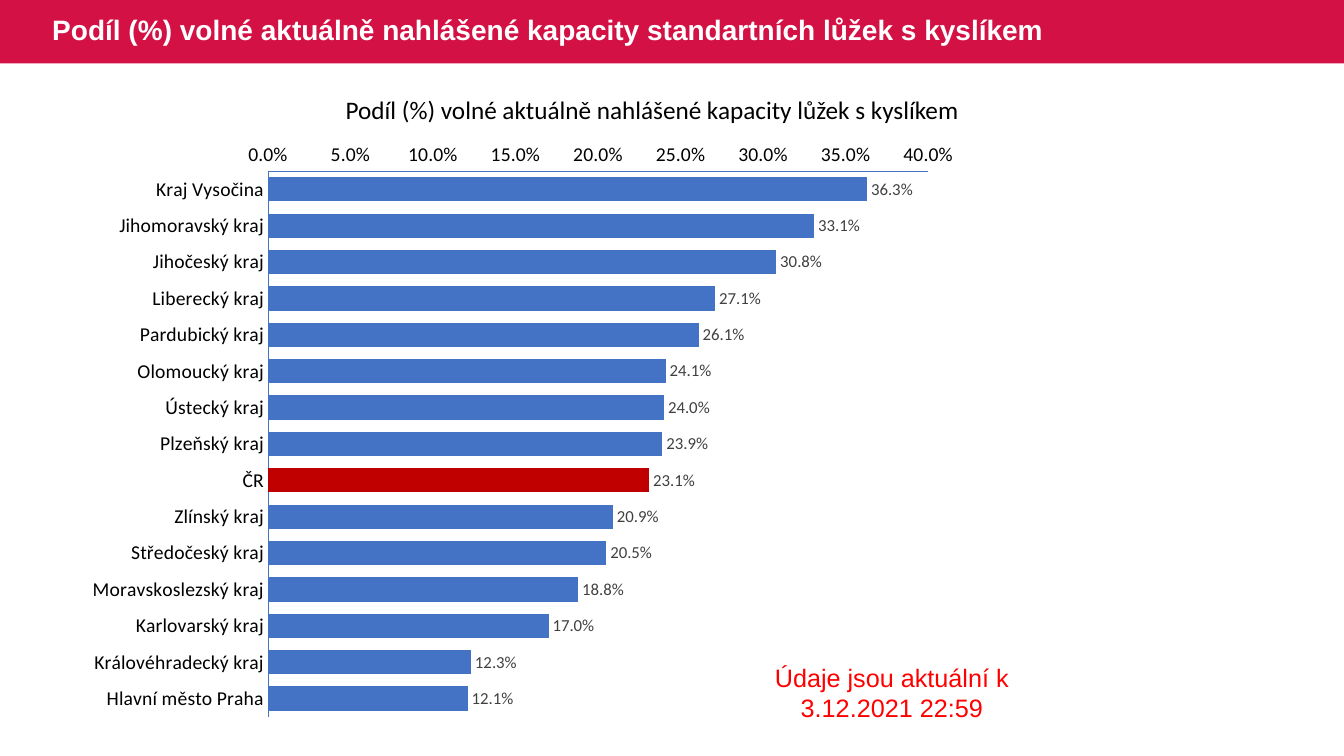
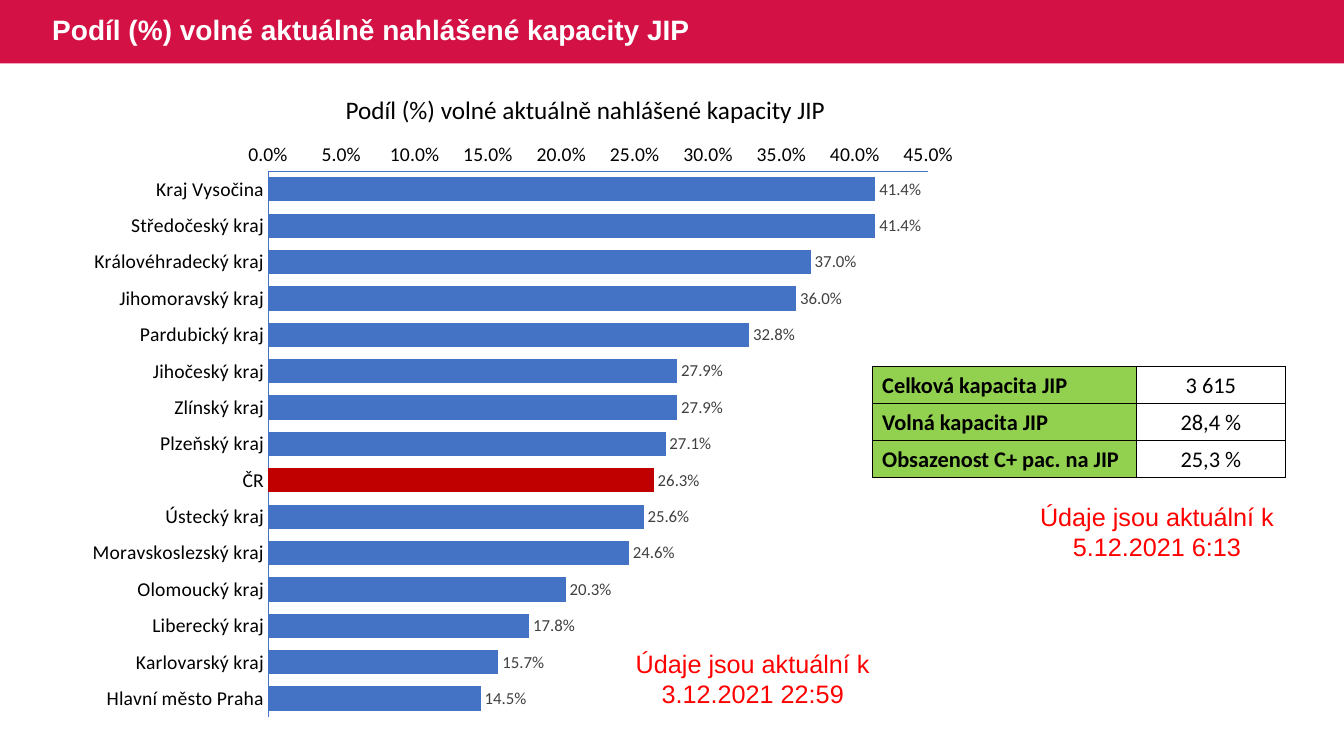
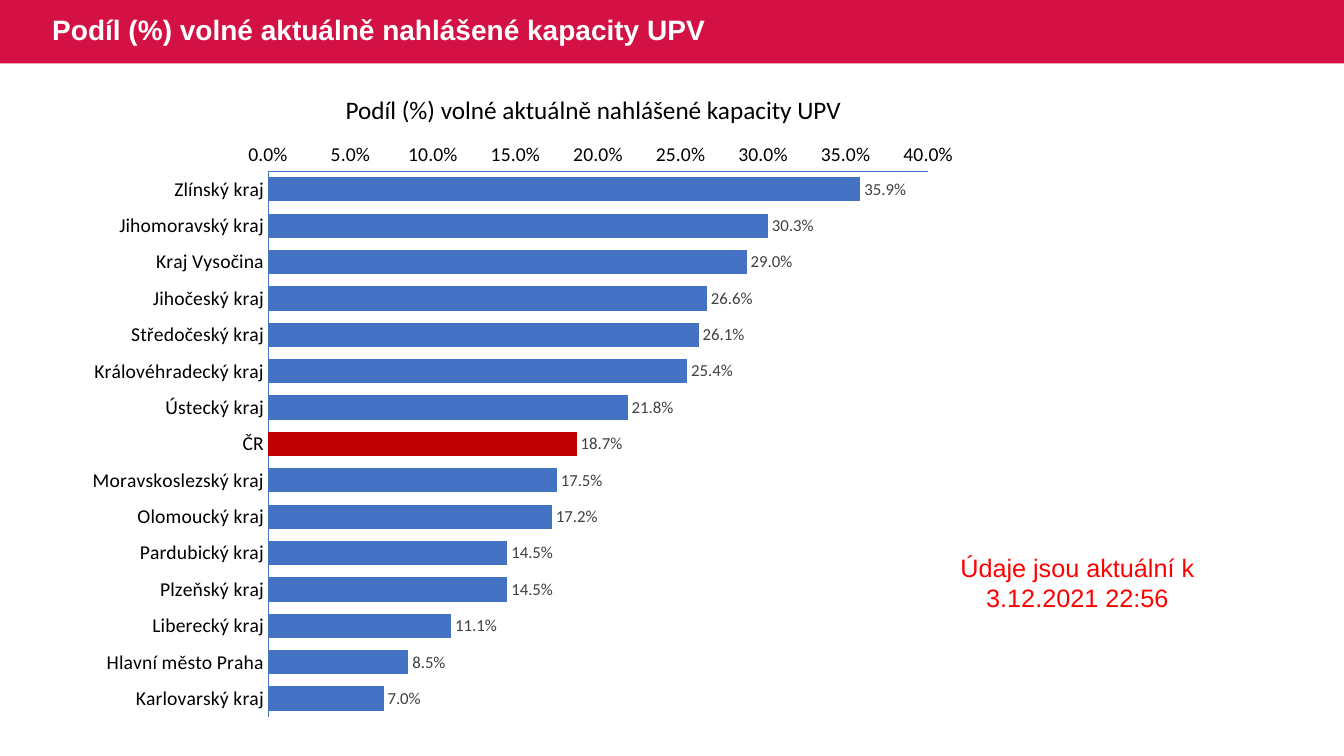
from dataclasses import dataclass
from typing import Any

from lxml.etree import SubElement
from pptx import Presentation
from pptx.chart.data import CategoryChartData
from pptx.dml.color import RGBColor
from pptx.enum.chart import XL_CHART_TYPE, XL_LABEL_POSITION, XL_TICK_MARK
from pptx.enum.shapes import MSO_SHAPE
from pptx.enum.text import MSO_ANCHOR, MSO_AUTO_SIZE, PP_ALIGN
from pptx.oxml.ns import qn
from pptx.util import Inches, Pt

# Shared look
COLORS = {
    "band": "D31145",
    "bar": "4472C4",
    "country": "C00000",
    "label": "404040",
    "notice": "FF0000",
    "table": "92D050",
    "text": "000000",
    "title": "FFFFFF",
}
FONTS: dict[str, dict[str, Any]] = {
    "title": {"name": "Arial", "size": Pt(20), "bold": True},
    "heading": {"name": "Calibri", "size": Pt(18)},
    "notice": {"name": "Arial", "size": Pt(18)},
    "chart": {"name": "Calibri", "size": Pt(10)},
    "axis": {"name": "Calibri", "size": Pt(14), "bold": False},
    "label": {"name": "Calibri", "size": Pt(12)},
    "table key": {"name": "Calibri", "size": Pt(16), "bold": True},
    "table value": {"name": "Calibri", "size": Pt(16), "bold": False},
}
COUNTRY = "ČR"
PERCENT = "0.0%"


@dataclass(frozen=True)
class Notice:
    left: float
    top: float
    moment: str


@dataclass(frozen=True)
class Capacity:
    title: str
    heading: str
    heading_width: float
    axis_maximum: float
    shares: dict[str, float]
    notices: tuple[Notice, ...]
    summary: tuple[tuple[str, str], ...] = ()


# Content
CAPACITIES = (
    Capacity(
        "Podíl (%) volné aktuálně nahlášené kapacity standartních lůžek s kyslíkem",
        "Podíl (%) volné aktuálně nahlášené kapacity lůžek s kyslíkem",
        6.35,
        0.40,
        {
            "Kraj Vysočina": 0.363,
            "Jihomoravský kraj": 0.331,
            "Jihočeský kraj": 0.308,
            "Liberecký kraj": 0.271,
            "Pardubický kraj": 0.261,
            "Olomoucký kraj": 0.241,
            "Ústecký kraj": 0.240,
            "Plzeňský kraj": 0.239,
            COUNTRY: 0.231,
            "Zlínský kraj": 0.209,
            "Středočeský kraj": 0.205,
            "Moravskoslezský kraj": 0.188,
            "Karlovarský kraj": 0.170,
            "Královéhradecký kraj": 0.123,
            "Hlavní město Praha": 0.121,
        },
        (Notice(7.57, 6.52, "3.12.2021 22:59"),),
    ),
    Capacity(
        "Podíl (%) volné aktuálně nahlášené kapacity JIP",
        "Podíl (%) volné aktuálně nahlášené kapacity JIP",
        5.13,
        0.45,
        {
            "Kraj Vysočina": 0.414,
            "Středočeský kraj": 0.414,
            "Královéhradecký kraj": 0.370,
            "Jihomoravský kraj": 0.360,
            "Pardubický kraj": 0.328,
            "Jihočeský kraj": 0.279,
            "Zlínský kraj": 0.279,
            "Plzeňský kraj": 0.271,
            COUNTRY: 0.263,
            "Ústecký kraj": 0.256,
            "Moravskoslezský kraj": 0.246,
            "Olomoucký kraj": 0.203,
            "Liberecký kraj": 0.178,
            "Karlovarský kraj": 0.157,
            "Hlavní město Praha": 0.145,
        },
        (Notice(6.19, 6.38, "3.12.2021 22:59"), Notice(10.2, 4.92, "5.12.2021 6:13")),
        (
            ("Celková kapacita JIP", "3 615"),
            ("Volná kapacita JIP", "28,4 %"),
            ("Obsazenost C+ pac. na JIP", "25,3 %"),
        ),
    ),
    Capacity(
        "Podíl (%) volné aktuálně nahlášené kapacity UPV",
        "Podíl (%) volné aktuálně nahlášené kapacity UPV",
        5.17,
        0.40,
        {
            "Zlínský kraj": 0.359,
            "Jihomoravský kraj": 0.303,
            "Kraj Vysočina": 0.290,
            "Jihočeský kraj": 0.266,
            "Středočeský kraj": 0.261,
            "Královéhradecký kraj": 0.254,
            "Ústecký kraj": 0.218,
            COUNTRY: 0.187,
            "Moravskoslezský kraj": 0.175,
            "Olomoucký kraj": 0.172,
            "Pardubický kraj": 0.145,
            "Plzeňský kraj": 0.145,
            "Liberecký kraj": 0.111,
            "Hlavní město Praha": 0.085,
            "Karlovarský kraj": 0.070,
        },
        (Notice(9.41, 5.43, "3.12.2021 22:56"),),
    ),
)


# Formatting helpers
def apply(target: Any, values: dict[str, Any]) -> None:
    for name, value in values.items():
        setattr(target, name, value)


def rgb(color: str) -> RGBColor:
    return RGBColor.from_string(COLORS[color])


def style_font(font: Any, style: str, color: str) -> None:
    apply(font, FONTS[style])
    font.color.rgb = rgb(color)


def paint(fill: Any, color: str) -> None:
    fill.solid()
    fill.fore_color.rgb = rgb(color)


def write(para: Any, text: str, style: str, color: str, **values: Any) -> None:
    apply(para, values)
    span = para.add_run()
    span.text = text
    style_font(span.font, style, color)


def add_text(page: Any, place: tuple[float, ...], text: str, style: str, color: str,
             frame: dict[str, Any], **values: Any) -> None:
    box = page.shapes.add_textbox(*map(Inches, place))
    apply(box.text_frame, frame)
    write(box.text_frame.paragraphs[0], text, style, color, **values)


# Title band
def add_title(page: Any, title: str) -> None:
    band = page.shapes.add_shape(MSO_SHAPE.RECTANGLE, 0, 0, Inches(13.33), Inches(0.63))
    band.shadow.inherit = False
    paint(band.fill, "band")
    band.line.fill.background()
    frame = {"word_wrap": True, "vertical_anchor": MSO_ANCHOR.MIDDLE}
    add_text(page, (0.42, 0, 11.56, 0.63), title, "title", "title", frame, line_spacing=0.9)


# Bar chart of regions
def add_bars(page: Any, capacity: Capacity) -> None:
    data = CategoryChartData(number_format=PERCENT)
    data.categories = list(capacity.shares)
    data.add_series("Series 1", list(capacity.shares.values()))
    place = map(Inches, (0.74, 1.3, 8.89, 5.93))
    chart = page.shapes.add_chart(XL_CHART_TYPE.BAR_CLUSTERED, *place, data).chart
    apply(chart, {"has_legend": False, "has_title": False})
    style_font(chart.font, "chart", "text")

    for axis in (chart.category_axis, chart.value_axis):
        apply(axis, {
            "has_major_gridlines": False,
            "major_tick_mark": XL_TICK_MARK.NONE,
            "minor_tick_mark": XL_TICK_MARK.NONE,
        })
        style_font(axis.tick_labels.font, "axis", "text")
        axis.format.line.width = Pt(0.75)
        axis.format.line.color.rgb = rgb("bar")
    chart.category_axis.reverse_order = True
    apply(chart.value_axis, {
        "minimum_scale": 0, "maximum_scale": capacity.axis_maximum, "major_unit": 0.05,
    })
    number = {"number_format": PERCENT, "number_format_is_linked": False}
    apply(chart.value_axis.tick_labels, number)

    plot = chart.plots[0]
    apply(plot, {"gap_width": 50, "vary_by_categories": False})
    bars = plot.series[0]
    paint(bars.format.fill, "bar")
    country = list(capacity.shares).index(COUNTRY)
    paint(bars.points[country].format.fill, "country")
    labels = bars.data_labels
    apply(labels, {"show_value": True, "position": XL_LABEL_POSITION.OUTSIDE_END, **number})
    style_font(labels.font, "label", "label")


# Summary table
def add_borders(cell: Any) -> None:
    properties = cell._tc.get_or_add_tcPr()
    for index, side in enumerate(("a:lnL", "a:lnR", "a:lnT", "a:lnB")):
        line = properties.makeelement(qn(side), {"w": str(Pt(0.75))})
        SubElement(SubElement(line, qn("a:solidFill")), qn("a:srgbClr"), val=COLORS["text"])
        properties.insert(index, line)


def add_summary(page: Any, rows: tuple[tuple[str, str], ...]) -> None:
    place = map(Inches, (8.65, 3.64, 4.1, 1.1))
    table = page.shapes.add_table(len(rows), 2, *place).table
    apply(table, {"first_row": False, "horz_banding": False})
    for column, width in zip(table.columns, (2.62, 1.48)):
        column.width = Inches(width)
    for row, (key, value) in enumerate(rows):
        key_cell, value_cell = table.cell(row, 0), table.cell(row, 1)
        paint(key_cell.fill, "table")
        write(key_cell.text_frame.paragraphs[0], key, "table key", "text")
        value_cell.fill.background()
        value_cell.vertical_anchor = MSO_ANCHOR.MIDDLE
        write(value_cell.text_frame.paragraphs[0], value, "table value", "text",
              alignment=PP_ALIGN.CENTER)
        for cell in (key_cell, value_cell):
            add_borders(cell)


# Slides
def add_capacity(deck: Any, capacity: Capacity) -> None:
    page = deck.slides.add_slide(deck.slide_layouts[6])
    add_title(page, capacity.title)
    add_bars(page, capacity)
    grow = {"auto_size": MSO_AUTO_SIZE.SHAPE_TO_FIT_TEXT}
    add_text(page, (3.33, 0.89, capacity.heading_width, 0.4), capacity.heading,
             "heading", "text", {"word_wrap": False, **grow})
    if capacity.summary:
        add_summary(page, capacity.summary)
    for notice in capacity.notices:
        add_text(page, (notice.left, notice.top, 2.55, 0.71),
                 f"Údaje jsou aktuální k {notice.moment}", "notice", "notice",
                 {"word_wrap": True, **grow}, alignment=PP_ALIGN.CENTER)


deck = Presentation()
apply(deck, {"slide_width": Inches(13.33), "slide_height": Inches(7.5)})
for capacity in CAPACITIES:
    add_capacity(deck, capacity)
deck.save("out.pptx")
